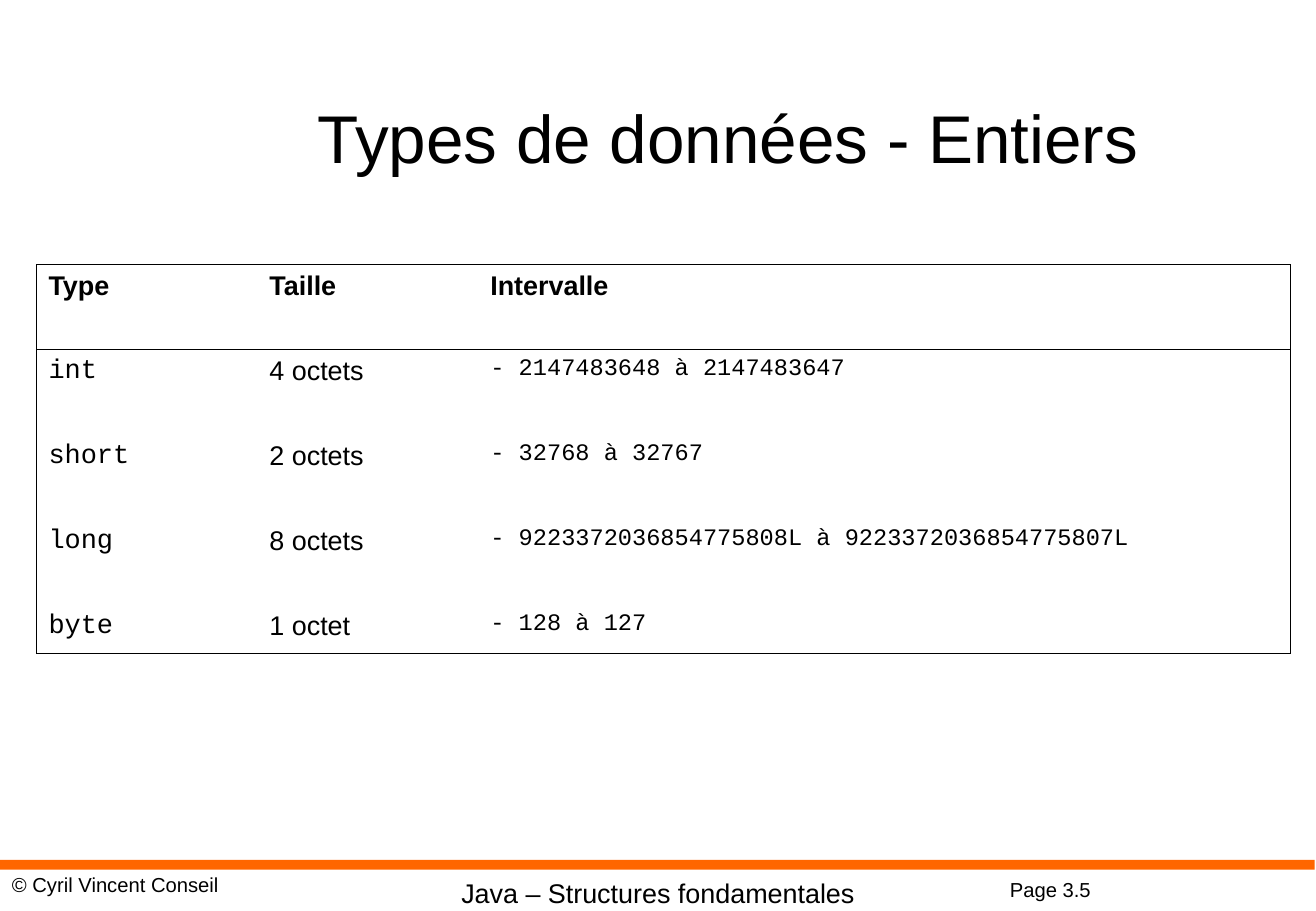
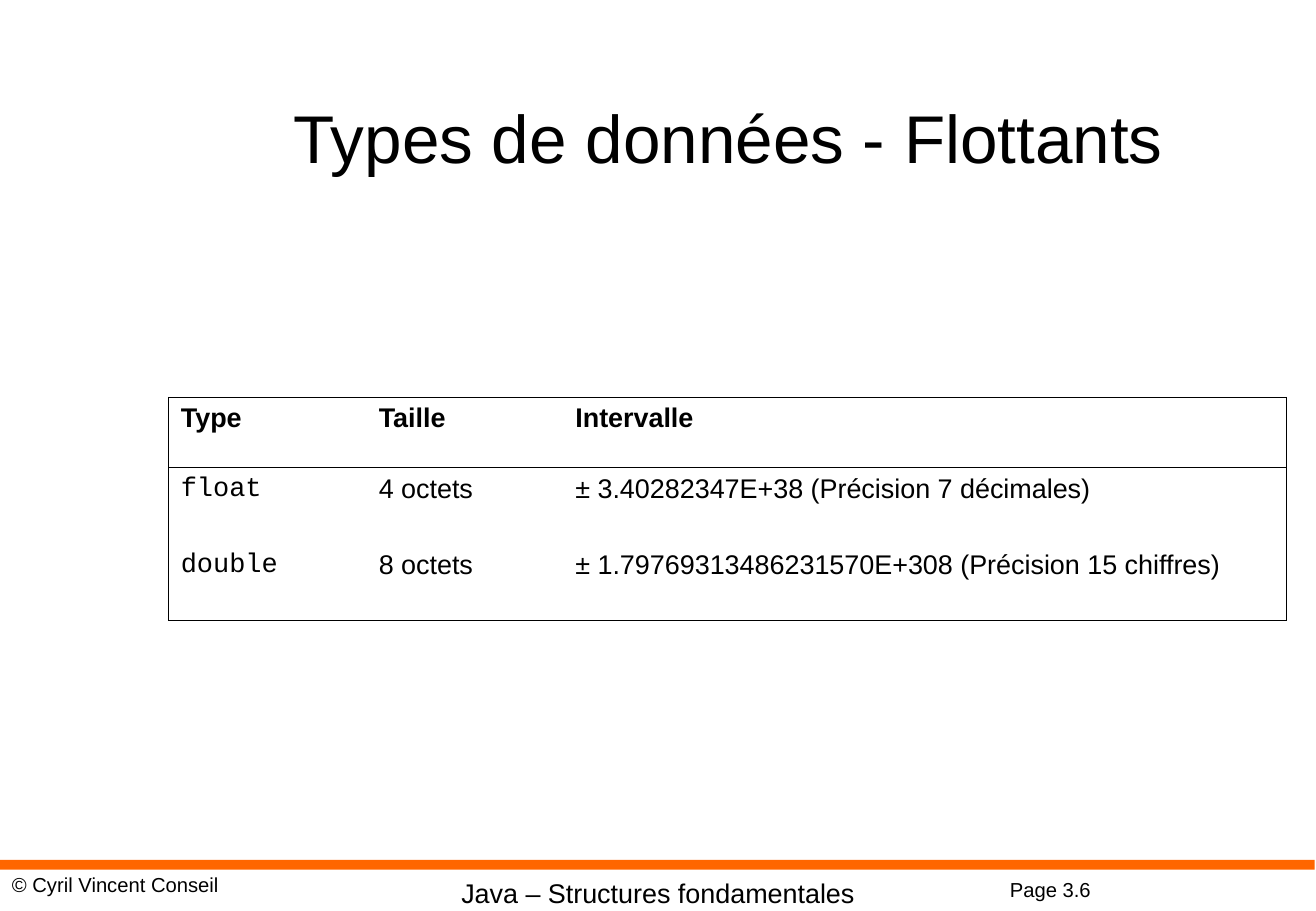
from dataclasses import dataclass

from lxml import etree
from pptx import Presentation
from pptx import util as u
from pptx.dml.color import RGBColor
from pptx.enum import shapes, text
from pptx.oxml import ns


@dataclass(frozen=True)
class Theme:
    """Colours, fonts and type sizes shared by the slides."""
    ink: str = "000000"
    paper: str = "FFFFFF"
    accent: str = "FF6600"
    sans: str = "Arial"
    mono: str = "Courier New"
    title: int = 40
    body: int = 16
    code: int = 14
    small: int = 12
    rule: float = 0.45
    plain_table: str = "{2D5ABB26-0587-4C30-8999-92F81FD0307C}"


THEME = Theme()
WIDTH, HEIGHT = 10.84, 7.5
TITLE_BOX = (1.39, 0.5, 9.21, 1.25)
FOOTER_BOX = (0, 7.08, 10.83, 0.42)
HEADINGS = ("Type", "Taille", "Intervalle")


def write(frame, words, size, font=THEME.sans, bold=False, align=text.PP_ALIGN.LEFT):
    """Write one run of text into the first paragraph of a frame."""
    paragraph = frame.paragraphs[0]
    paragraph.alignment = align
    run = paragraph.add_run()
    run.text = words
    run.font.name = font
    run.font.size = u.Pt(size)
    run.font.bold = bold
    run.font.color.rgb = RGBColor.from_string(THEME.ink)


def add_label(slide, box, words, size, align=text.PP_ALIGN.LEFT, anchor=text.MSO_ANCHOR.TOP):
    """Add a wrapped text box holding one line."""
    frame = slide.shapes.add_textbox(*map(u.Inches, box)).text_frame
    frame.word_wrap = True
    frame.vertical_anchor = anchor
    write(frame, words, size, align=align)


def add_title(slide, box, words):
    """Add the slide title, centred in its box."""
    add_label(slide, box, words, THEME.title, text.PP_ALIGN.CENTER, text.MSO_ANCHOR.MIDDLE)


def add_footer(slide, box, page):
    """Add the orange band with the page, course and owner below it."""
    left, top, width, _ = box
    band = slide.shapes.add_shape(shapes.MSO_SHAPE.RECTANGLE,
                                  *map(u.Inches, (left, top, width, 0.08)))
    band.shadow.inherit = False
    band.fill.solid()
    band.fill.fore_color.rgb = RGBColor.from_string(THEME.accent)
    band.line.fill.background()
    add_label(slide, (left + 8.22, top + 0.09, 1.44, 0.3), f"Page {page}", THEME.small)
    add_label(slide, (left + 2.62, top + 0.09, 5.6, 0.37),
              "Java – Structures fondamentales", THEME.body, text.PP_ALIGN.CENTER)
    add_label(slide, (left, top + 0.05, 4.06, 0.3), "© Cyril Vincent Conseil", THEME.small)


def set_borders(cell, ruled):
    """Rule the named sides of a cell and leave the others bare."""
    properties = cell._tc.get_or_add_tcPr()
    for place, side in enumerate("LRTB"):
        line = etree.Element(ns.qn(f"a:ln{side}"), w=str(int(u.Pt(THEME.rule))))
        if side in ruled:
            fill = etree.SubElement(line, ns.qn("a:solidFill"))
            etree.SubElement(fill, ns.qn("a:srgbClr"), val=THEME.ink)
        else:
            etree.SubElement(line, ns.qn("a:noFill"))
        properties.insert(place, line)


def ruled_sides(row, column, last_row, last_column):
    """Name the sides ruled by the outer frame and the heading line."""
    sides = {"L": column == 0, "R": column == last_column,
             "T": row <= 1, "B": row in (0, last_row)}
    return [side for side, ruled in sides.items() if ruled]


def add_types_table(slide, box, widths, heights, types, interval_style):
    """Add the table of types, with a bold heading row and an outer frame."""
    records = [HEADINGS, *types]
    table = slide.shapes.add_table(len(records), len(HEADINGS), *map(u.Inches, box)).table
    table.first_row = table.horz_banding = False
    table._tbl.tblPr.find(ns.qn("a:tableStyleId")).text = THEME.plain_table
    for column, width in zip(table.columns, widths):
        column.width = u.Inches(width)
    for row, height in zip(table.rows, heights):
        row.height = u.Inches(height)
    styles = ((THEME.body, THEME.mono), (THEME.body, THEME.sans), interval_style)
    for row, record in enumerate(records):
        for column, words in enumerate(record):
            cell = table.cell(row, column)
            cell.fill.solid()
            cell.fill.fore_color.rgb = RGBColor.from_string(THEME.paper)
            set_borders(cell, ruled_sides(row, column, len(types), len(HEADINGS) - 1))
            size, font = styles[column] if row else (THEME.body, THEME.sans)
            write(cell.text_frame, words, size, font, bold=row == 0)


def add_types_slide(deck, title, page, **table):
    """Add one slide: footer, title and table of types."""
    slide = deck.slides.add_slide(deck.slide_layouts[6])
    add_footer(slide, FOOTER_BOX, page)
    add_title(slide, TITLE_BOX, title)
    add_types_table(slide, **table)


def main():
    """Build and save the deck."""
    deck = Presentation()
    deck.slide_width, deck.slide_height = u.Inches(WIDTH), u.Inches(HEIGHT)
    add_types_slide(
        deck, "Types de données - Entiers", "3.5",
        box=(0.3, 2.18, 10.33, 3.2),
        widths=(1.82, 1.82, 6.69),
        heights=(0.7, 0.7, 0.7, 0.7, 0.4),
        types=[
            ("int", "4 octets", "- 2147483648 à 2147483647"),
            ("short", "2 octets", "- 32768 à 32767"),
            ("long", "8 octets", "- 9223372036854775808L à 9223372036854775807L"),
            ("byte", "1 octet", "- 128 à 127"),
        ],
        interval_style=(THEME.code, THEME.mono))
    add_types_slide(
        deck, "Types de données - Flottants", "3.6",
        box=(1.39, 3.27, 9.21, 1.84),
        widths=(1.63, 1.62, 5.96),
        heights=(0.58, 0.63, 0.63),
        types=[
            ("float", "4 octets", "± 3.40282347E+38 (Précision 7 décimales)"),
            ("double", "8 octets", "± 1.79769313486231570E+308 (Précision 15 chiffres)"),
        ],
        interval_style=(THEME.body, THEME.sans))
    deck.save("out.pptx")


if __name__ == "__main__":
    main()
